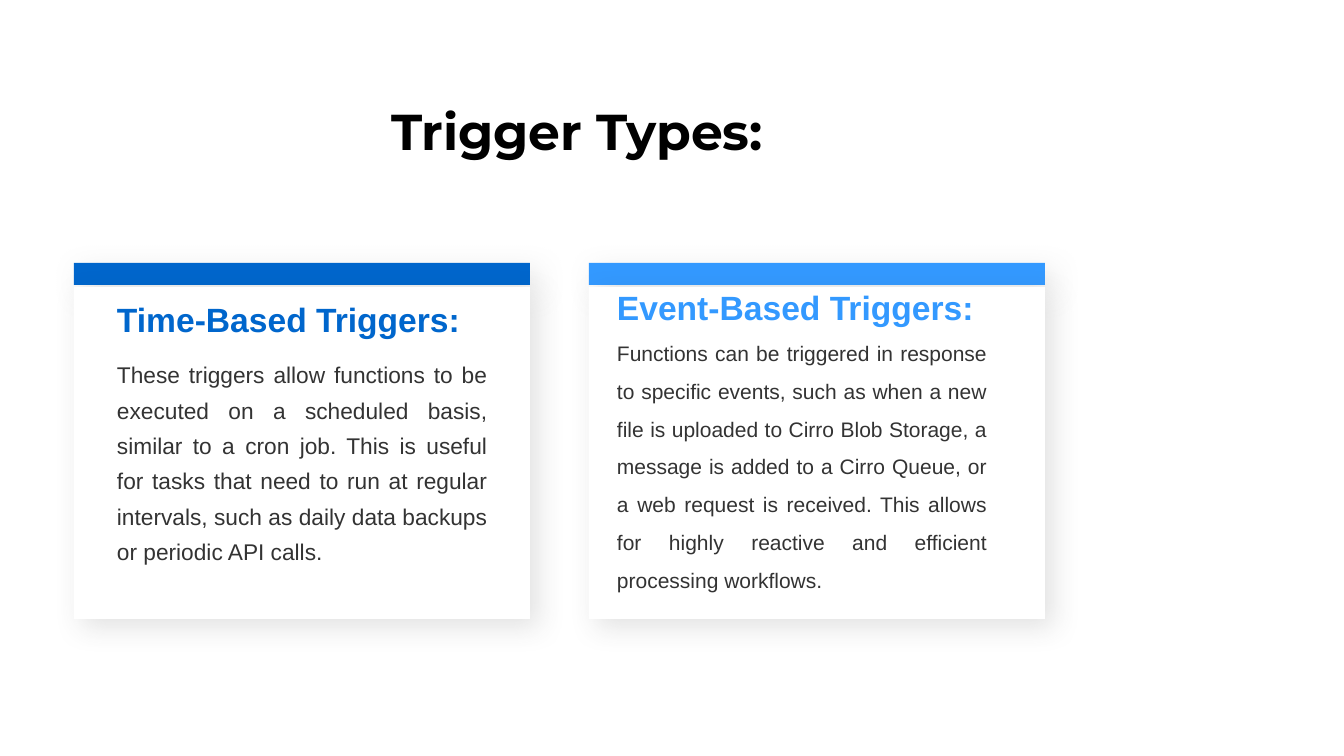
from pptx import Presentation
from pptx import util as u
from pptx.dml.color import RGBColor
from pptx.enum import shapes, text
from pptx.oxml import parse_xml
from pptx.oxml.ns import nsdecls, qn

BLACK = RGBColor(0x00, 0x00, 0x00)
WHITE = RGBColor(0xFF, 0xFF, 0xFF)
GREY = RGBColor(0x33, 0x33, 0x33)
NAVY = RGBColor(0x00, 0x66, 0xCC)
SKY = RGBColor(0x33, 0x99, 0xFF)
PALE = RGBColor(0xBF, 0xBF, 0xBF)
DARK = RGBColor(0x40, 0x40, 0x40)

ALIGN = text.PP_ALIGN
ANCHOR = text.MSO_ANCHOR


def px(n):
    return u.Emu(round(n * 914400 / 100.8))


class Deck:
    """Hold the style and the current slide, and draw each kind of element."""

    font = "Arial"

    def __init__(self, wide, high):
        self.prs = Presentation()
        self.prs.slide_width = px(wide)
        self.prs.slide_height = px(high)
        self.slide = self.prs.slides.add_slide(self.prs.slide_layouts[6])

    def rect(self, box, fill, shade, alpha):
        shape = self.slide.shapes.add_shape(shapes.MSO_SHAPE.RECTANGLE, *map(px, box))
        shape.fill.solid()
        shape.fill.fore_color.rgb = fill
        shape.line.fill.background()
        shape.shadow.inherit = False
        glow = shape.element.spPr.find(qn("a:effectLst"))
        glow.append(parse_xml(
            f'<a:outerShdw {nsdecls("a")} blurRad="{u.Pt(20)}" dist="{u.Pt(8)}" '
            f'dir="2700000" algn="tl" rotWithShape="0"><a:srgbClr val="{shade}">'
            f'<a:alpha val="{alpha * 1000}"/></a:srgbClr></a:outerShdw>'))

    def label(self, box, words, size, color, frame=None, para=None, **font):
        area = self.slide.shapes.add_textbox(*map(px, box)).text_frame
        line = area.paragraphs[0]
        run = line.add_run()
        run.text = words
        run.font.color.rgb = color
        inset = dict.fromkeys(
            ("margin_left", "margin_top", "margin_right", "margin_bottom"), 0)
        style = {"name": self.font, "size": u.Pt(size)}
        for part, form in (
            (area, {"word_wrap": True, **inset, **(frame or {})}),
            (line, para or {}),
            (run.font, {**style, **font}),
        ):
            for key, value in form.items():
                setattr(part, key, value)

    def card(self, left, color):
        self.rect((left, 263, 456, 22), color, PALE, 40)
        self.rect((left, 287, 456, 332), WHITE, DARK, 15)

    def head(self, left, top, words, color):
        self.label((left, top, 370, 41), words, 24, color,
                   {"vertical_anchor": ANCHOR.BOTTOM}, bold=True)

    def body(self, left, top, words, size, space):
        self.label((left, top, 370, 220), words, size, GREY,
                   para={"alignment": ALIGN.JUSTIFY, "line_spacing": space})

    def save(self):
        self.prs.save("out.pptx")


CARDS = (
    (NAVY, 117, 298, "Time-Based Triggers:", 353, 16.2, 1.3,
     "These triggers allow functions to be executed on a scheduled basis, "
     "similar to a cron job. This is useful for tasks that need to run at "
     "regular intervals, such as daily data backups or periodic API calls."),
    (SKY, 617, 286, "Event-Based Triggers:", 328, 15, 1.5,
     "Functions can be triggered in response to specific events, such as when "
     "a new file is uploaded to Cirro Blob Storage, a message is added to a "
     "Cirro Queue, or a web request is received. This allows for highly "
     "reactive and efficient processing workflows."),
)


def main():
    deck = Deck(1344, 756)
    deck.label((-28, 98, 1210, 64), "Trigger Types:", 36, BLACK,
               {"vertical_anchor": ANCHOR.MIDDLE}, {"alignment": ALIGN.CENTER},
               name="Montserrat", bold=True)
    for i, (color, left, top, title, start, size, space, words) in enumerate(CARDS):
        deck.card(74 + 515 * i, color)
        deck.body(left, start, words, size, space)
        deck.head(left, top, title, color)
    deck.save()


if __name__ == "__main__":
    main()
